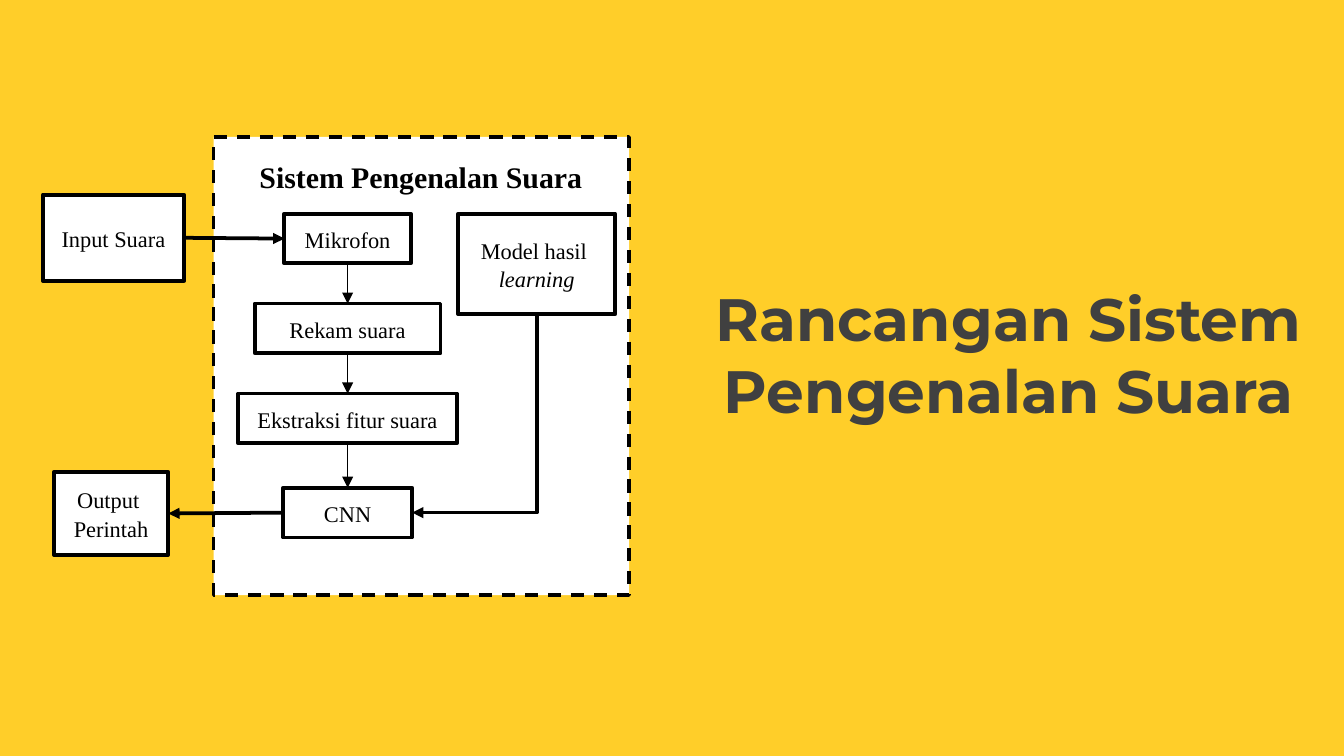
from lxml import etree
from pptx import Presentation
from pptx.dml.color import RGBColor
from pptx.enum.dml import MSO_LINE
from pptx.enum.shapes import MSO_CONNECTOR, MSO_SHAPE
from pptx.enum.text import MSO_ANCHOR, PP_ALIGN
from pptx.oxml.ns import qn
from pptx.util import Cm, Pt

RECTANGLE = MSO_SHAPE.RECTANGLE
STRAIGHT, ELBOW = MSO_CONNECTOR.STRAIGHT, MSO_CONNECTOR.ELBOW
DASH = MSO_LINE.DASH
MIDDLE, CENTER = MSO_ANCHOR.MIDDLE, PP_ALIGN.CENTER
TOP, LEFT, BOTTOM, RIGHT = range(4)

YELLOW = RGBColor(0xFF, 0xCE, 0x29)
WHITE = RGBColor(0xFF, 0xFF, 0xFF)
BLACK = RGBColor(0, 0, 0)
GREY = RGBColor(0x40, 0x40, 0x40)

LABEL = {"name": "Times New Roman", "size": Pt(12)}
HEADING = {"name": "Times New Roman", "size": Pt(16), "bold": True}
TITLE = {"name": "Montserrat", "size": Pt(32), "bold": True}

TITLE_TEXT = "Rancangan Sistem Pengenalan Suara"
TITLE_PLACE = (12.93, 5.21, 12.27, 3.45)
FRAME_PLACE = (4.04, 2.59, 7.85, 8.66)
HEADING_TEXT = "Sistem Pengenalan Suara"
HEADING_PLACE = (4.5, 2.69, 6.91, 1.24)

STEP_CENTER, STEP_HEIGHT = 6.57, 0.94
STEPS = [
    ("Mikrofon", 4.04, 2.39),
    ("Rekam suara", 5.74, 3.51),
    ("Ekstraksi fitur suara", 7.44, 4.14),
    ("CNN", 9.22, 2.44),
]
OUTER_BOXES = [
    (["Input Suara"], (0.81, 3.68, 2.67, 1.63)),
    (["Output ", "Perintah"], (1.02, 8.92, 2.16, 1.57)),
    (["Model hasil ", "learning"], (8.66, 4.04, 2.97, 1.9)),
]


def write(shape, lines, font, color, line_spacing=1.0):
    frame = shape.text_frame
    frame.word_wrap = True
    for index, line in enumerate(lines):
        para = frame.paragraphs[0] if index == 0 else frame.add_paragraph()
        para.alignment = CENTER
        para.line_spacing = line_spacing
        if len(lines) == 1:
            para.space_after = Pt(8)
        span = para.add_run()
        span.text = line
        for name, value in font.items():
            setattr(span.font, name, value)
        span.font.color.rgb = color
        if line == "learning":
            span.font.italic = True


def add_box(page, place, lines=(), font=LABEL, width=2.0, dash=None):
    box = page.shapes.add_shape(RECTANGLE, *map(Cm, place))
    box.shadow.inherit = False
    box.fill.solid()
    box.fill.fore_color.rgb = WHITE
    if width:
        box.line.color.rgb = BLACK
        box.line.width = Pt(width)
        box.line.dash_style = dash
    else:
        box.line.fill.background()
    box.text_frame.vertical_anchor = MIDDLE
    write(box, lines, font, BLACK, 1.06)
    return box


def style_arrow(arrow, width):
    arrow.line.color.rgb = BLACK
    arrow.line.width = Pt(width)
    etree.SubElement(arrow.line._get_or_add_ln(), qn("a:tailEnd"), type="triangle")
    etree.SubElement(arrow._element.spPr, qn("a:effectLst"))


def join(page, start, start_side, end, end_side, width):
    arrow = page.shapes.add_connector(STRAIGHT, 0, 0, 0, 0)
    arrow.begin_connect(start, start_side)
    arrow.end_connect(end, end_side)
    style_arrow(arrow, width)


def join_bent(page, start, end, width):
    begin_x, begin_y = start.left + start.width // 2, start.top + start.height
    end_x, end_y = end.left + end.width, end.top + end.height // 2
    across, down = begin_x - end_x, end_y - begin_y
    left = (begin_x + end_x - down) // 2
    top = (begin_y + end_y - across) // 2
    arrow = page.shapes.add_connector(ELBOW, left, top, left + down, top + across)
    properties = arrow._element.spPr
    properties.find(qn("a:xfrm")).set("rot", str(90 * 60000))
    geometry = properties.find(qn("a:prstGeom"))
    geometry.set("prst", "bentConnector2")
    style_arrow(arrow, width)


def main():
    deck = Presentation()
    deck.slide_width, deck.slide_height = Cm(25.4), Cm(14.29)
    page = deck.slides.add_slide(deck.slide_layouts[6])
    page.background.fill.solid()
    page.background.fill.fore_color.rgb = YELLOW

    title = page.shapes.add_textbox(*map(Cm, TITLE_PLACE))
    write(title, [TITLE_TEXT], TITLE, GREY)

    add_box(page, FRAME_PLACE, width=1.75, dash=DASH)
    add_box(page, HEADING_PLACE, [HEADING_TEXT], HEADING, width=0)
    steps = [
        add_box(page, (STEP_CENTER - width / 2, top, width, STEP_HEIGHT), [text])
        for text, top, width in STEPS
    ]
    voice, command, model = [add_box(page, place, lines) for lines, place in OUTER_BOXES]

    for upper, lower in zip(steps, steps[1:]):
        join(page, upper, BOTTOM, lower, TOP, 0.75)
    join(page, voice, RIGHT, steps[0], LEFT, 2)
    join(page, steps[-1], LEFT, command, RIGHT, 2)
    join_bent(page, model, steps[-1], 2)

    deck.save("out.pptx")


if __name__ == "__main__":
    main()
